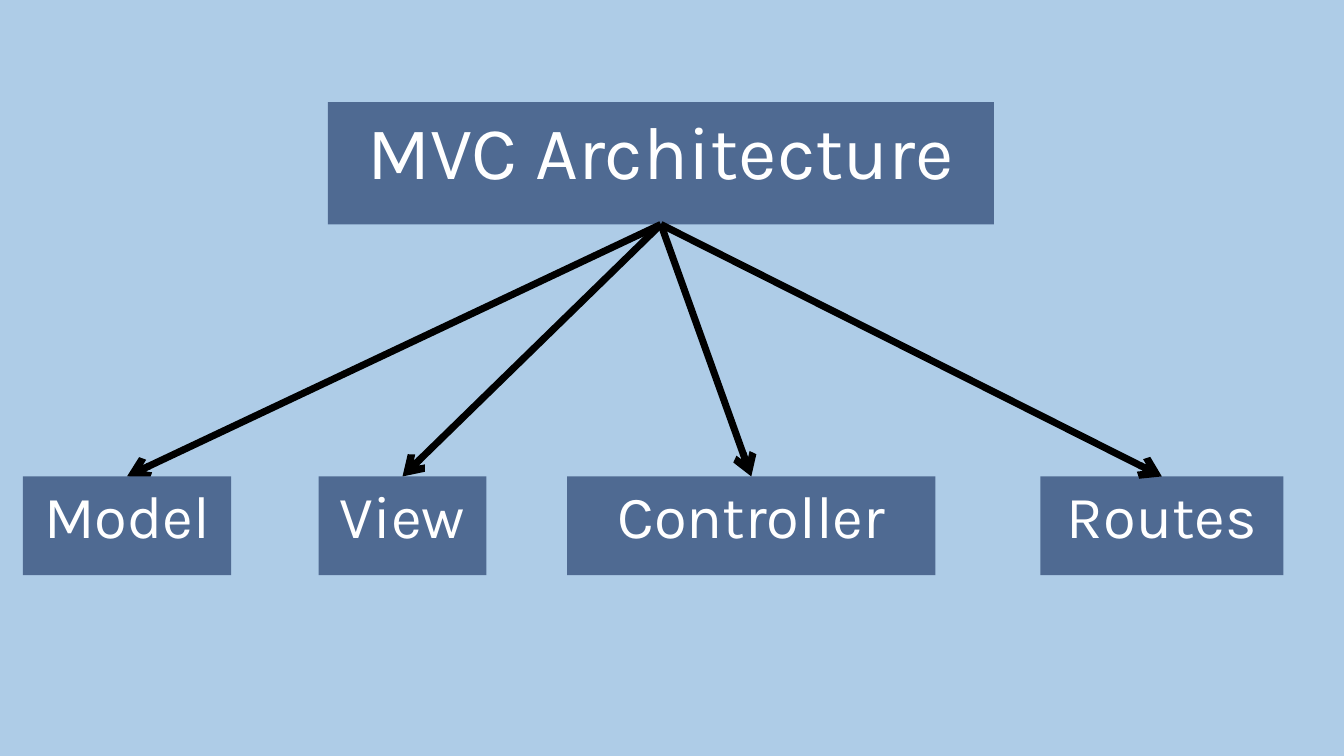
"""Build the MVC architecture slide: a title box with arrows to its four parts."""
from dataclasses import dataclass

from lxml import etree
from pptx import Presentation, util as u
from pptx.dml.color import RGBColor
from pptx.enum import shapes, text
from pptx.oxml.ns import qn

FONT, WHITE, BLACK, BOX, BACKGROUND = "Karla", "FFFFFF", "000000", "4F6A92", "AECCE7"
BOTTOM, TOP = 2, 0


@dataclass
class Node:
    label: str
    left: float
    width: float
    top: float = 7.09
    height: float = 1.47
    size: int = 64
    rise: float = 0.51
    arrow_behind: bool = False


ROOT = Node("MVC Architecture", 4.88, 9.91, 1.52, 1.82, 80, 0.63)
PARTS = [
    Node("Model", 0.34, 3.1, arrow_behind=True),
    Node("Controller", 8.44, 5.48),
    Node("View", 4.74, 2.5),
    Node("Routes", 15.48, 3.62),
]


def rgb(value: str) -> RGBColor:
    return RGBColor.from_string(value)


def place(node: Node, rise: float = 0) -> tuple:
    lengths = node.left, node.top - rise, node.width, node.height + rise
    return tuple(u.Inches(v) for v in lengths)


def add_box(s, node: Node):
    sp = s.shapes.add_shape(shapes.MSO_SHAPE.RECTANGLE, *place(node))
    sp.shadow.inherit = False
    sp.fill.solid()
    sp.fill.fore_color.rgb = rgb(BOX)
    sp.line.fill.background()
    return sp


def write_label(sp, node: Node) -> None:
    sp.left, sp.top, sp.width, sp.height = place(node, node.rise)
    tf = sp.text_frame
    inset = u.Inches(0.06)
    frame = dict(word_wrap=True, auto_size=text.MSO_AUTO_SIZE.NONE,
                 vertical_anchor=text.MSO_ANCHOR.MIDDLE,
                 margin_left=inset, margin_top=inset,
                 margin_right=inset, margin_bottom=inset)
    for name, value in frame.items():
        setattr(tf, name, value)
    p = tf.paragraphs[0]
    p.alignment = text.PP_ALIGN.CENTER
    p.line_spacing = u.Pt(node.size * 1.4)
    r = p.add_run()
    r.text = node.label
    for name, value in dict(name=FONT, size=u.Pt(node.size)).items():
        setattr(r.font, name, value)
    r.font.color.rgb = rgb(WHITE)


def add_arrow(s, start, end):
    c = s.shapes.add_connector(shapes.MSO_CONNECTOR.STRAIGHT, 0, 0, 0, 0)
    c.begin_connect(start, BOTTOM)
    c.end_connect(end, TOP)
    c.line.color.rgb = rgb(BLACK)
    c.line.width = u.Pt(7.5)
    etree.SubElement(c.line._get_or_add_ln(), qn("a:tailEnd"), type="arrow")
    etree.SubElement(c._element.spPr, qn("a:effectLst"))
    return c


def main() -> None:
    prs = Presentation()
    prs.slide_width, prs.slide_height = u.Inches(20), u.Inches(11.25)
    s = prs.slides.add_slide(prs.slide_layouts[5])
    s.background.fill.solid()
    s.background.fill.fore_color.rgb = rgb(BACKGROUND)

    root = add_box(s, ROOT)
    title = s.shapes.title
    write_label(title, ROOT)
    root._element.addnext(title._element)

    for part in PARTS:
        box = add_box(s, part)
        write_label(s.shapes.add_textbox(*place(part, part.rise)), part)
        arrow = add_arrow(s, root, box)
        if part.arrow_behind:
            box._element.addprevious(arrow._element)
    prs.save("out.pptx")


if __name__ == "__main__":
    main()
